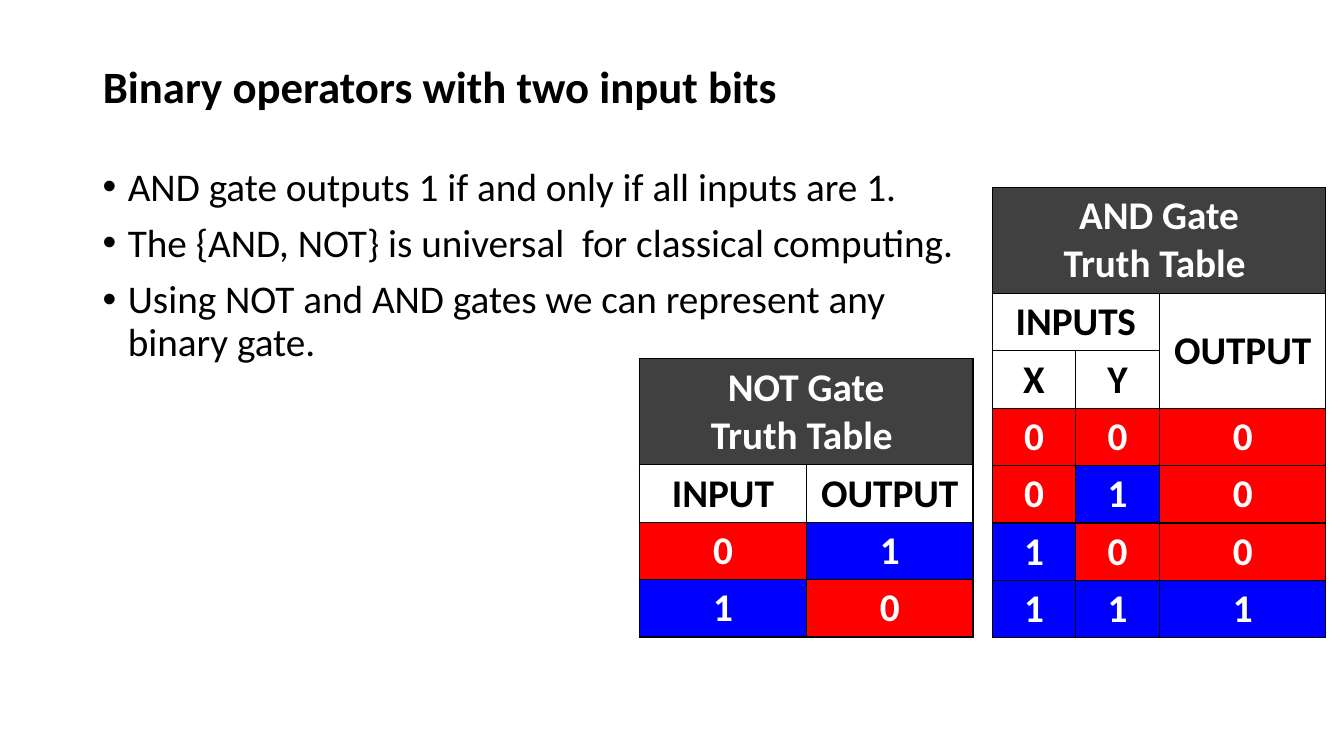
"""Build a slide on two-input binary operators with the NOT and AND truth tables."""
from dataclasses import dataclass

from lxml import etree
from pptx import Presentation
from pptx import util as u
from pptx.dml.color import RGBColor
from pptx.enum import text
from pptx.oxml import ns


@dataclass(frozen=True)
class Theme:
    font: str = "Calibri"
    title_size: int = 32
    body_size: int = 28
    black: str = "000000"
    white: str = "FFFFFF"
    heading: str = "404040"
    zero: str = "FF0000"
    one: str = "0000FF"
    border_width: int = 1


THEME = Theme()
HEADING_HEIGHT, ROW_HEIGHT = 1.05, 0.57


def add_run(paragraph, words, size, color, bold=False):
    run = paragraph.add_run()
    run.text = words
    run.font.name = THEME.font
    run.font.size = u.Pt(size)
    run.font.bold = bold
    run.font.color.rgb = RGBColor.from_string(color)


def place_title(slide, words):
    title = slide.shapes.title
    title.left, title.top = u.Inches(0.92), u.Inches(0.16)
    title.width, title.height = u.Inches(11.5), u.Inches(1.45)
    title.text_frame.vertical_anchor = text.MSO_ANCHOR.MIDDLE
    paragraph = title.text_frame.paragraphs[0]
    paragraph.alignment = text.PP_ALIGN.LEFT
    paragraph.line_spacing = 0.9
    add_run(paragraph, words, THEME.title_size, THEME.black, bold=True)


def set_bullet(paragraph):
    properties = paragraph._p.get_or_add_pPr()
    indent = u.Inches(0.25)
    properties.set("marL", str(indent))
    properties.set("indent", str(-indent))
    etree.SubElement(properties, ns.qn("a:buFont"), typeface="Arial")
    etree.SubElement(properties, ns.qn("a:buChar"), char="•")


def add_bullets(slide, items):
    box = slide.shapes.add_textbox(
        u.Inches(0.92), u.Inches(1.61), u.Inches(11.5), u.Inches(4.76))
    frame = box.text_frame
    frame.word_wrap = True
    for index, lines in enumerate(items):
        paragraph = frame.add_paragraph() if index else frame.paragraphs[0]
        paragraph.line_spacing = 0.9
        paragraph.space_before = u.Pt(10)
        set_bullet(paragraph)
        for number, line in enumerate(lines):
            if number:
                paragraph.add_line_break()
            add_run(paragraph, line, THEME.body_size, THEME.black)


def set_borders(cell):
    properties = cell._tc.get_or_add_tcPr()
    for position, side in enumerate(("lnL", "lnR", "lnT", "lnB")):
        line = etree.Element(
            ns.qn(f"a:{side}"), w=str(u.Pt(THEME.border_width)))
        fill = etree.SubElement(line, ns.qn("a:solidFill"))
        etree.SubElement(fill, ns.qn("a:srgbClr"), val=THEME.black)
        properties.insert(position, line)


def fill_cell(cell, lines, fill, color):
    cell.fill.solid()
    cell.fill.fore_color.rgb = RGBColor.from_string(fill)
    set_borders(cell)
    for index, line in enumerate(lines):
        frame = cell.text_frame
        paragraph = frame.add_paragraph() if index else frame.paragraphs[0]
        paragraph.alignment = text.PP_ALIGN.CENTER
        add_run(paragraph, line, THEME.body_size, color, bold=True)


def cell_colors(row_index, words):
    if row_index == 0:
        return THEME.heading, THEME.white
    bits = {"0": THEME.zero, "1": THEME.one}
    if words in bits:
        return bits[words], THEME.white
    return THEME.white, THEME.black


def add_truth_table(slide, left, top, widths, gate, rows, merges=()):
    """Add a gate's table; None marks a cell covered by a merge."""
    height = HEADING_HEIGHT + ROW_HEIGHT * len(rows)
    table = slide.shapes.add_table(
        len(rows) + 1, len(widths), u.Inches(left), u.Inches(top),
        u.Inches(sum(widths)), u.Inches(height)).table
    table.first_row = table.horz_banding = False
    for column, width in zip(table.columns, widths):
        column.width = u.Inches(width)
    for index, row in enumerate(table.rows):
        row.height = u.Inches(ROW_HEIGHT if index else HEADING_HEIGHT)
    heading = [f"{gate} Gate\nTruth Table "] + [None] * (len(widths) - 1)
    for row_index, row in enumerate([heading, *rows]):
        for column_index, words in enumerate(row):
            lines = words.split("\n") if words else []
            fill_cell(table.cell(row_index, column_index), lines,
                      *cell_colors(row_index, words))
    for start, end in [((0, 0), (0, len(widths) - 1)), *merges]:
        table.cell(*start).merge(table.cell(*end))
    return table


def main():
    presentation = Presentation()
    presentation.slide_width = u.Inches(13.33)
    presentation.slide_height = u.Inches(7.5)
    slide = presentation.slides.add_slide(presentation.slide_layouts[5])
    place_title(slide, "Binary operators with two input bits")
    add_bullets(slide, [
        ["AND gate outputs 1 if and only if all inputs are 1."],
        ["The {AND, NOT} is universal  for classical computing."],
        ["Using NOT and AND gates we can represent any ", "binary gate."],
    ])
    and_rows = [[str(x), str(y), str(x & y)] for x in (0, 1) for y in (0, 1)]
    and_table = add_truth_table(
        slide, 9.84, 1.86, [0.83, 0.83, 1.65], "AND",
        [["INPUTS", None, "OUTPUT"], ["X", "Y", None], *and_rows],
        merges=[((1, 0), (1, 1)), ((1, 2), (2, 2))])
    and_table.cell(1, 2).vertical_anchor = text.MSO_ANCHOR.MIDDLE
    not_rows = [[str(x), str(1 - x)] for x in (0, 1)]
    add_truth_table(slide, 6.34, 3.56, [1.66, 1.65], "NOT",
                    [["INPUT", "OUTPUT"], *not_rows])
    presentation.save("out.pptx")


if __name__ == "__main__":
    main()
